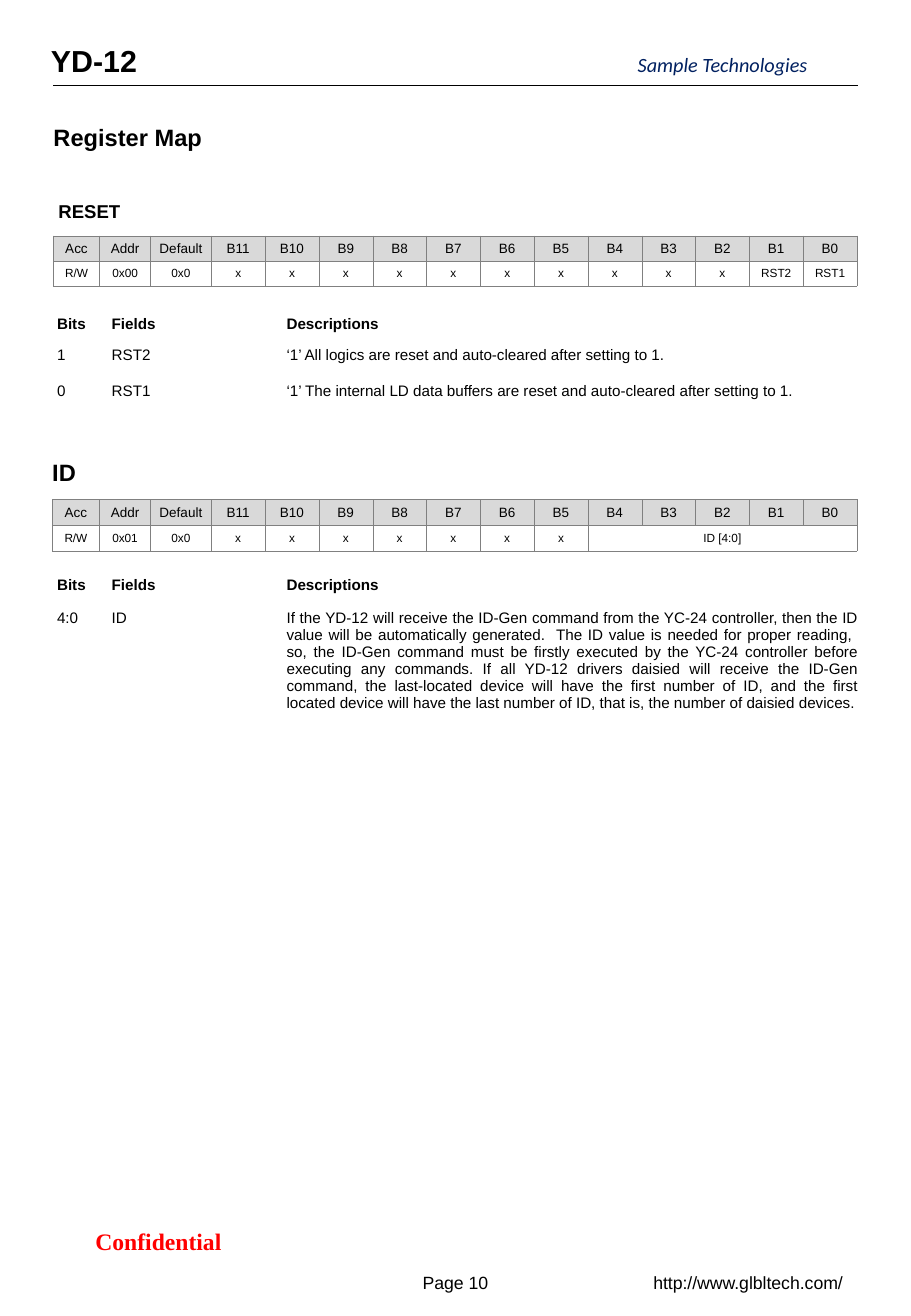
from lxml.etree import SubElement
from pptx import Presentation
from pptx.dml.color import RGBColor
from pptx.enum.shapes import MSO_CONNECTOR
from pptx.enum.text import MSO_ANCHOR as ANCHOR, PP_ALIGN as ALIGN
from pptx.oxml.ns import qn
from pptx.util import Inches, Pt


def write(tf, text, size=9, font="Arial", color="000000", bold=False,
          italic=False, align=ALIGN.LEFT):
    p = tf.paragraphs[0]
    p.alignment = align
    r = p.add_run()
    r.text = text
    r.font.size, r.font.name = Pt(size), font
    r.font.bold, r.font.italic = bold, italic
    r.font.color.rgb = RGBColor.from_string(color)


def add_plain_table(left, top, widths, heights, line_width, header_sides,
                    body_sides):
    """Add an unfilled table with grey lines on the given sides (L, R, T, B)."""
    t = s.shapes.add_table(len(heights), len(widths), Inches(left), Inches(top),
                           Inches(sum(widths)), Inches(sum(heights))).table
    t.first_row = t.horz_banding = False
    for col, width in zip(t.columns, widths):
        col.width = Inches(width)
    for i, height in enumerate(heights):
        t.rows[i].height = Inches(height)
        for cell in t.rows[i].cells:
            tc_pr = cell._tc.get_or_add_tcPr()
            for side in "LRTB":
                ln = SubElement(tc_pr, qn(f"a:ln{side}"), w=str(Pt(line_width)))
                if side in (body_sides if i else header_sides):
                    fill = SubElement(ln, qn("a:solidFill"))
                    SubElement(fill, qn("a:srgbClr"), val="808080")
                else:
                    SubElement(ln, qn("a:noFill"))
            cell.fill.background()
            cell.margin_left = cell.margin_top = cell.margin_bottom = Inches(0.04)
    return t


prs = Presentation()
prs.slide_width, prs.slide_height = Inches(7.5), Inches(10.83)
s = prs.slides.add_slide(prs.slide_layouts[6])

# Header rule
rule = s.shapes.add_connector(MSO_CONNECTOR.STRAIGHT, Inches(0.44), Inches(0.7),
                              Inches(7.06), Inches(0.7))
rule.line.color.rgb = RGBColor.from_string("000000")
rule.line.width = Pt(0.5)
SubElement(rule._element.spPr, qn("a:effectLst"))

# Header, headings and footer: text, place, insets (left, top), anchor, wrap, format
heading = dict(size=14, bold=True)
footer = dict(size=10.5, align=ALIGN.CENTER)
texts = [
    ("YD-12", (0.42, 0.3, 6.64, 0.4), (0, 0.05), ANCHOR.TOP, True,
     dict(size=18, bold=True)),
    ("Sample Technologies", (5.25, 0.43, 1.6, 0.2), (0, 0), ANCHOR.TOP, False,
     dict(size=12, font="Calibri", color="002060", italic=True)),
    ("Register Map", (0.44, 0.96, 6.62, 0.34), (0, 0.05), ANCHOR.TOP, True, heading),
    ("RESET", (0.44, 1.6, 6.62, 0.29), (0.04, 0.05), ANCHOR.TOP, True,
     dict(size=11, bold=True)),
    ("ID", (0.43, 3.72, 6.61, 0.34), (0, 0.05), ANCHOR.TOP, True, heading),
    ("Confidential", (0.34, 10.04, 1.93, 0.34), (0.1, 0.05), ANCHOR.MIDDLE, True,
     dict(size=14, font="Times New Roman", color="FF0000", bold=True,
          align=ALIGN.CENTER)),
    ("Page 10", (3.28, 10.38, 0.94, 0.34), (0.1, 0.05), ANCHOR.MIDDLE, True, footer),
    ("http://www.glbltech.com/", (5.22, 10.38, 1.88, 0.34), (0.1, 0.05),
     ANCHOR.MIDDLE, True, footer),
]
for text, place, (inset_x, inset_y), anchor, wrap, style in texts:
    tf = s.shapes.add_textbox(*map(Inches, place)).text_frame
    tf.word_wrap = wrap
    tf.vertical_anchor = anchor
    tf.margin_left = tf.margin_right = Inches(inset_x)
    tf.margin_top = tf.margin_bottom = Inches(inset_y)
    write(tf, text, **style)

# Register layouts: one column per bit, B11 down to B0
bit_names = ["Acc", "Addr", "Default"] + [f"B{n}" for n in range(11, -1, -1)]
registers = [
    (0.44, 1.94, 0.38, 0.2, ["R/W", "0x00", "0x0"] + ["x"] * 10 + ["RST2", "RST1"]),
    (0.43, 4.11, 0.39, 0.21, ["R/W", "0x01", "0x0"] + ["x"] * 7 + ["ID [4:0]"]),
]
for left, top, acc_width, value_height, values in registers:
    widths = [acc_width, 0.42, 0.5] + [0.4433] * 12
    t = add_plain_table(left, top, widths, [0.21, value_height], 0.25, "LRTB", "LRTB")
    if len(values) < len(bit_names):
        t.cell(1, len(values) - 1).merge(t.cell(1, len(bit_names) - 1))
    for i, (row, size) in enumerate([(bit_names, 8), (values, 7)]):
        for j, text in enumerate(row):
            cell = t.cell(i, j)
            cell.margin_right = Inches(0.04)
            cell.vertical_anchor = ANCHOR.MIDDLE
            if i == 0:
                cell.fill.solid()
                cell.fill.fore_color.rgb = RGBColor.from_string("D9D9D9")
            write(cell.text_frame, text, size=size, align=ALIGN.CENTER)

# Field descriptions
id_description = (
    "If the YD-12 will receive the ID-Gen command from the YC-24 controller, then "
    "the ID value will be automatically generated.  The ID value is needed for "
    "proper reading,  so, the ID-Gen command must be firstly executed by the YC-24 "
    "controller before executing any commands. If all YD-12 drivers daisied will "
    "receive the ID-Gen command, the last-located device will have the first number "
    "of ID, and the first located device will have the last number of ID, that is, "
    "the number of daisied devices.")
field_tables = [
    (2.52, [0.29, 0.3, 0.29], ALIGN.LEFT, [
        ("1", "RST2", "‘1’ All logics are reset and auto-cleared after setting to 1."),
        ("0", "RST1", "‘1’ The internal LD data buffers are reset and auto-cleared "
                      "after setting to 1.")]),
    (4.66, [0.32, 0.87], ALIGN.JUSTIFY, [("4:0", "ID", id_description)]),
]
for top, heights, description_align, fields in field_tables:
    t = add_plain_table(0.43, top, [0.45, 1.44, 4.74], heights, 0.5, "B", "")
    for i, row in enumerate([("Bits", "Fields", "Descriptions")] + fields):
        for j, text in enumerate(row):
            cell = t.cell(i, j)
            cell.margin_right = 0
            cell.vertical_anchor = ANCHOR.TOP if i else ANCHOR.MIDDLE
            write(cell.text_frame, text, bold=i == 0,
                  align=description_align if i and j == 2 else ALIGN.LEFT)

prs.save("out.pptx")
